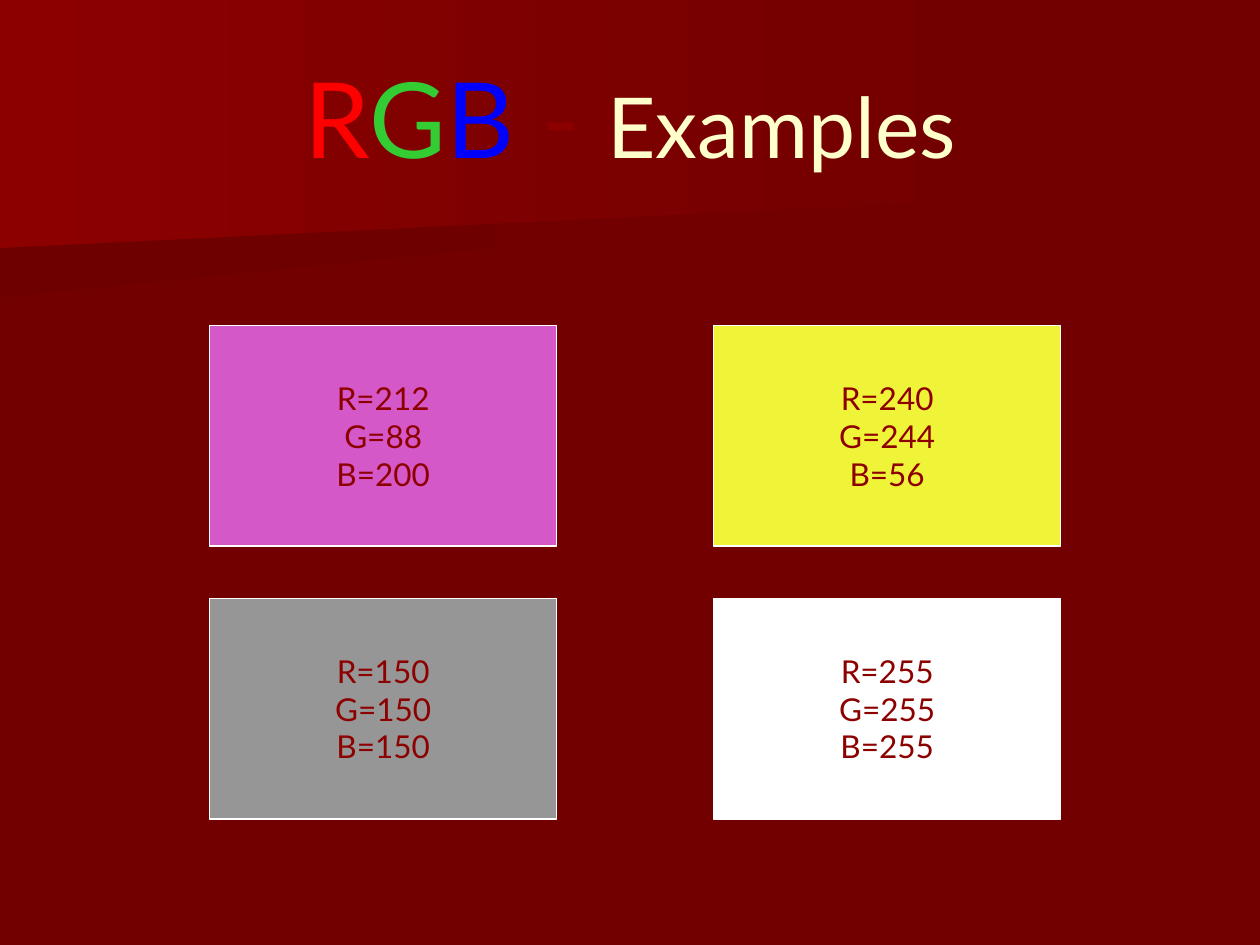
from dataclasses import dataclass

from pptx import Presentation
from pptx.dml.color import RGBColor
from pptx.enum.shapes import MSO_SHAPE
from pptx.enum.text import MSO_ANCHOR, MSO_AUTO_SIZE, PP_ALIGN
from pptx.slide import Slide
from pptx.util import Cm, Pt

COLORS = {
    "background": "720000",
    "shade": "6F0000",
    "accent": "8C0000",
    "red": "FF0000",
    "green": "33CC33",
    "blue": "0000FF",
    "cream": "FFFFCC",
    "white": "FFFFFF",
}
FONT = "Lato"


@dataclass
class Band:
    start_color: str
    points: list[tuple[float, float]]


@dataclass
class Swatch:
    red: int
    green: int
    blue: int


@dataclass
class TitleRun:
    text: str
    size: int
    color: str


BANDS = [
    Band("shade", [(0, 2.57), (19.79, 2.57), (19.76, 3.89), (0, 5.51)]),
    Band("accent", [(0, 0), (20.12, 0), (20.12, 4.11), (0, 5.28)]),
]
TITLE_RUNS = [
    TitleRun("R", 60, "red"),
    TitleRun("G", 60, "green"),
    TitleRun("B ", 60, "blue"),
    TitleRun("- ", 60, "accent"),
    TitleRun("Examples", 48, "cream"),
]
SWATCHES = [
    Swatch(212, 88, 200),
    Swatch(240, 244, 56),
    Swatch(150, 150, 150),
    Swatch(255, 255, 255),
]
GRID_LEFT, GRID_TOP = 4.23, 6.56
PITCH_X, PITCH_Y = 10.16, 5.5
SWATCH_W, SWATCH_H = 6.99, 4.45


def color(name: str) -> RGBColor:
    return RGBColor.from_string(COLORS[name])


def draw_band(s: Slide, band: Band) -> None:
    fb = s.shapes.build_freeform(*band.points[0], scale=Cm(1))
    fb.add_line_segments(band.points[1:], close=True)
    sp = fb.convert_to_shape()
    sp.shadow.inherit = False
    sp.line.fill.background()
    sp.fill.gradient()
    sp.fill.gradient_angle = 0
    for stop, name in zip(sp.fill.gradient_stops, (band.start_color, "background")):
        stop.color.rgb = color(name)


def draw_title(s: Slide) -> None:
    sp = s.shapes.title
    sp.left, sp.top, sp.width, sp.height = Cm(1.27), Cm(0.76), Cm(22.86), Cm(3.18)
    tf = sp.text_frame
    tf.auto_size = MSO_AUTO_SIZE.NONE
    tf.vertical_anchor = MSO_ANCHOR.MIDDLE
    p = tf.paragraphs[0]
    p.alignment = PP_ALIGN.CENTER
    p.font.name = FONT
    for part in TITLE_RUNS:
        r = p.add_run()
        r.text = part.text
        r.font.name = FONT
        r.font.size = Pt(part.size)
        r.font.color.rgb = color(part.color)
    s.shapes._spTree.append(sp._element)


def draw_swatch(s: Slide, swatch: Swatch, col: int, row: int) -> None:
    sp = s.shapes.add_shape(
        MSO_SHAPE.RECTANGLE,
        Cm(GRID_LEFT + col * PITCH_X),
        Cm(GRID_TOP + row * PITCH_Y),
        Cm(SWATCH_W),
        Cm(SWATCH_H),
    )
    sp.shadow.inherit = False
    sp.fill.solid()
    sp.fill.fore_color.rgb = RGBColor(swatch.red, swatch.green, swatch.blue)
    sp.line.color.rgb = color("white")
    sp.line.width = Pt(0.75)
    tf = sp.text_frame
    tf.word_wrap = False
    tf.vertical_anchor = MSO_ANCHOR.MIDDLE
    tf.text = f"R={swatch.red}\nG={swatch.green}\nB={swatch.blue}"
    for p in tf.paragraphs:
        p.alignment = PP_ALIGN.CENTER
        p.font.name = FONT
        p.font.size = Pt(18)
        p.font.color.rgb = color("accent")


def main() -> None:
    prs = Presentation()
    prs.slide_width, prs.slide_height = Cm(25.4), Cm(19.05)
    s = prs.slides.add_slide(prs.slide_layouts[5])
    s.background.fill.solid()
    s.background.fill.fore_color.rgb = color("background")
    for band in BANDS:
        draw_band(s, band)
    draw_title(s)
    for i, swatch in enumerate(SWATCHES):
        row, col = divmod(i, 2)
        draw_swatch(s, swatch, col, row)
    prs.save("out.pptx")


if __name__ == "__main__":
    main()
